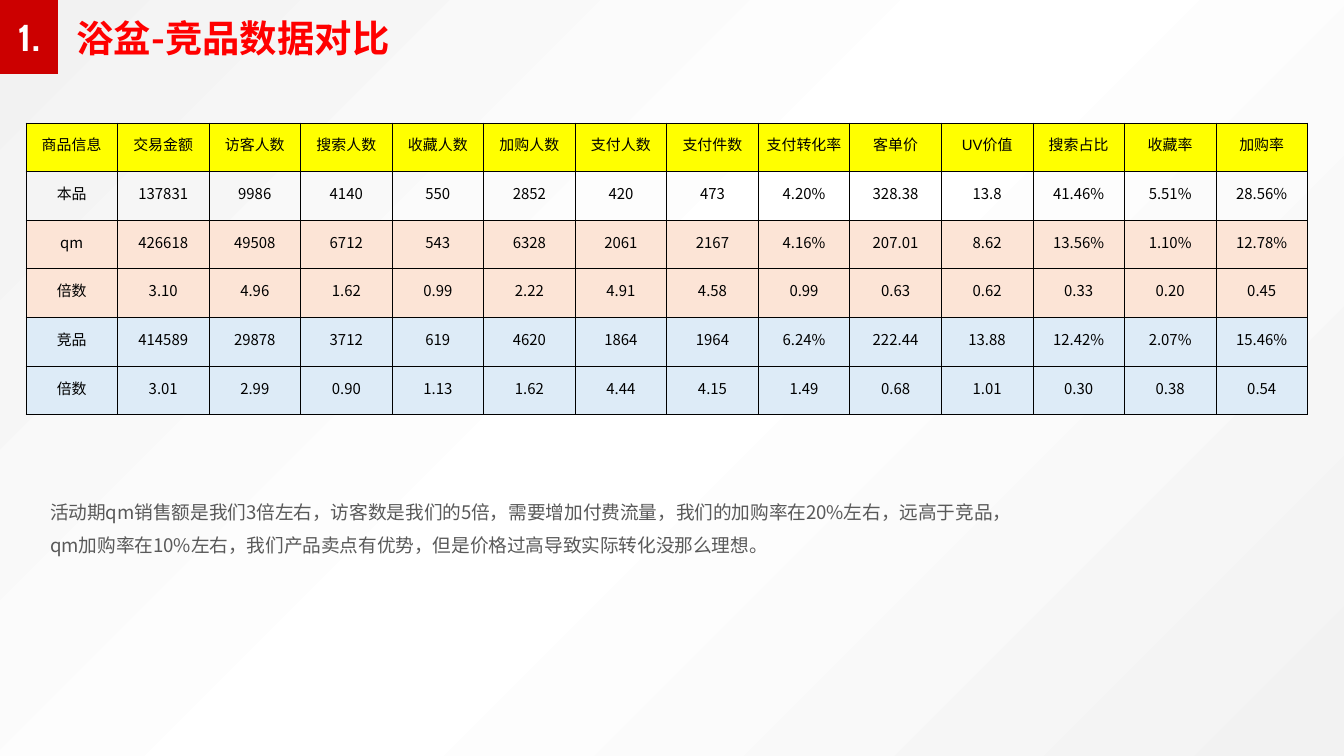
from copy import deepcopy
from dataclasses import dataclass

from lxml.etree import SubElement
from pptx import Presentation
from pptx.dml.color import RGBColor
from pptx.enum.shapes import MSO_SHAPE
from pptx.enum.text import MSO_ANCHOR, MSO_AUTO_SIZE, PP_ALIGN
from pptx.oxml.ns import qn
from pptx.util import Emu, Pt

PX_PER_INCH = 134.4
CJK = "Noto Sans CJK SC"
CELL_MARGINS = {"margin_left": 1, "margin_right": 1, "margin_top": 1, "margin_bottom": 7}


@dataclass(frozen=True)
class Box:
    left: int
    top: int
    width: int
    height: int

    def emu(self) -> tuple:
        return px(self.left), px(self.top), px(self.width), px(self.height)


@dataclass(frozen=True)
class Style:
    size: int
    color: str
    font: str = CJK
    bold: bool = False


@dataclass(frozen=True)
class Row:
    fill: str | None
    cells: str


ROWS = [
    Row("FFFF00", "商品信息 交易金额 访客人数 搜索人数 收藏人数 加购人数 支付人数 "
                  "支付件数 支付转化率 客单价 UV价值 搜索占比 收藏率 加购率"),
    Row(None, "本品 137831 9986 4140 550 2852 420 473 4.20% 328.38 13.8 41.46% 5.51% 28.56%"),
    Row("FCE4D6", "qm 426618 49508 6712 543 6328 2061 2167 4.16% 207.01 8.62 13.56% 1.10% 12.78%"),
    Row("FCE4D6", "倍数 3.10 4.96 1.62 0.99 2.22 4.91 4.58 0.99 0.63 0.62 0.33 0.20 0.45"),
    Row("DDEBF7", "竞品 414589 29878 3712 619 4620 1864 1964 6.24% 222.44 13.88 12.42% 2.07% 15.46%"),
    Row("DDEBF7", "倍数 3.01 2.99 0.90 1.13 1.62 4.44 4.15 1.49 0.68 1.01 0.30 0.38 0.54"),
]
SUMMARY = [
    "活动期qm销售额是我们3倍左右，访客数是我们的5倍，需要增加付费流量，我们的加购率在20%左右，远高于竞品，",
    "qm加购率在10%左右，我们产品卖点有优势，但是价格过高导致实际转化没那么理想。",
]


def px(n: int) -> Emu:
    return Emu(round(n * 914400 / PX_PER_INCH))


def rgb(color: str) -> RGBColor:
    return RGBColor.from_string(color)


def write(p, text: str, style: Style, **fmt) -> None:
    """Add one styled run; fmt holds paragraph settings."""
    for name, value in fmt.items():
        setattr(p, name, value)
    r = p.add_run()
    r.text = text
    for name, value in {"size": Pt(style.size), "bold": style.bold, "name": style.font}.items():
        setattr(r.font, name, value)
    r.font.color.rgb = rgb(style.color)
    SubElement(r.font._element, qn("a:ea"), typeface=CJK)


def paint_background(s) -> None:
    """Diagonal gradient, white in the middle."""
    fill = s.background.fill
    fill.gradient()
    fill.gradient_angle = 315
    stops = s.element.find(".//" + qn("a:gsLst"))
    stops.insert(1, deepcopy(stops[0]))
    for stop, position, color in zip(fill.gradient_stops, (0, 0.5, 1), ("F2F2F2", "FFFFFF", "F2F2F2")):
        stop.position = position
        stop.color.rgb = rgb(color)


def add_title(s, text: str, box: Box) -> None:
    sp = s.shapes.title
    sp.left, sp.top, sp.width, sp.height = box.emu()
    tf = sp.text_frame
    for name, value in {"word_wrap": True, "auto_size": MSO_AUTO_SIZE.SHAPE_TO_FIT_TEXT,
                        "vertical_anchor": MSO_ANCHOR.TOP}.items():
        setattr(tf, name, value)
    write(tf.paragraphs[0], text, Style(20, "FF0000", bold=True),
          alignment=PP_ALIGN.LEFT, line_spacing=Pt(24))


def add_badge(s, text: str, box: Box) -> None:
    sp = s.shapes.add_shape(MSO_SHAPE.RECTANGLE, *box.emu())
    sp.shadow.inherit = False
    sp.fill.solid()
    sp.fill.fore_color.rgb = rgb("CC0000")
    sp.line.fill.background()
    sp.text_frame.vertical_anchor = MSO_ANCHOR.MIDDLE
    write(sp.text_frame.paragraphs[0], text, Style(20, "FFFFFF", "Cabin", True),
          alignment=PP_ALIGN.CENTER)


def add_summary(s, lines: list[str], box: Box) -> None:
    tf = s.shapes.add_textbox(*box.emu()).text_frame
    tf.word_wrap = True
    for i, line in enumerate(lines):
        p = tf.add_paragraph() if i else tf.paragraphs[0]
        write(p, line, Style(10, "595959"), line_spacing=Pt(17.7))


def add_borders(cell) -> None:
    tc_pr = cell._tc.get_or_add_tcPr()
    for side in ("lnL", "lnR", "lnT", "lnB"):
        ln = SubElement(tc_pr, qn(f"a:{side}"), w=str(Pt(0.5)))
        SubElement(SubElement(ln, qn("a:solidFill")), qn("a:srgbClr"), val="000000")


def format_cell(cell, text: str, fill: str | None) -> None:
    for name, value in CELL_MARGINS.items():
        setattr(cell, name, px(value))
    cell.vertical_anchor = MSO_ANCHOR.MIDDLE
    add_borders(cell)
    if fill:
        cell.fill.solid()
        cell.fill.fore_color.rgb = rgb(fill)
    else:
        cell.fill.background()
    font = CJK if text.isascii() else "Arial"
    write(cell.text_frame.paragraphs[0], text, Style(8, "000000", font), alignment=PP_ALIGN.CENTER)


def add_comparison(s, rows: list[Row], box: Box) -> None:
    n_cols = len(rows[0].cells.split())
    table = s.shapes.add_table(len(rows), n_cols, *box.emu()).table
    table.first_row = table.horz_banding = False
    for col in table.columns:
        col.width = px(box.width) // n_cols
    for i, row in enumerate(rows):
        table.rows[i].height = px(box.height) // len(rows)
        for j, text in enumerate(row.cells.split()):
            format_cell(table.cell(i, j), text, row.fill)


def main() -> None:
    prs = Presentation()
    prs.slide_width, prs.slide_height = px(1344), px(756)
    s = prs.slides.add_slide(prs.slide_layouts[5])
    paint_background(s)
    add_badge(s, "1.", Box(0, 0, 58, 74))
    add_title(s, "浴盆-竞品数据对比", Box(63, 8, 341, 59))
    add_summary(s, SUMMARY, Box(37, 484, 1040, 89))
    add_comparison(s, ROWS, Box(26, 123, 1282, 292))
    prs.save("out.pptx")


if __name__ == "__main__":
    main()
